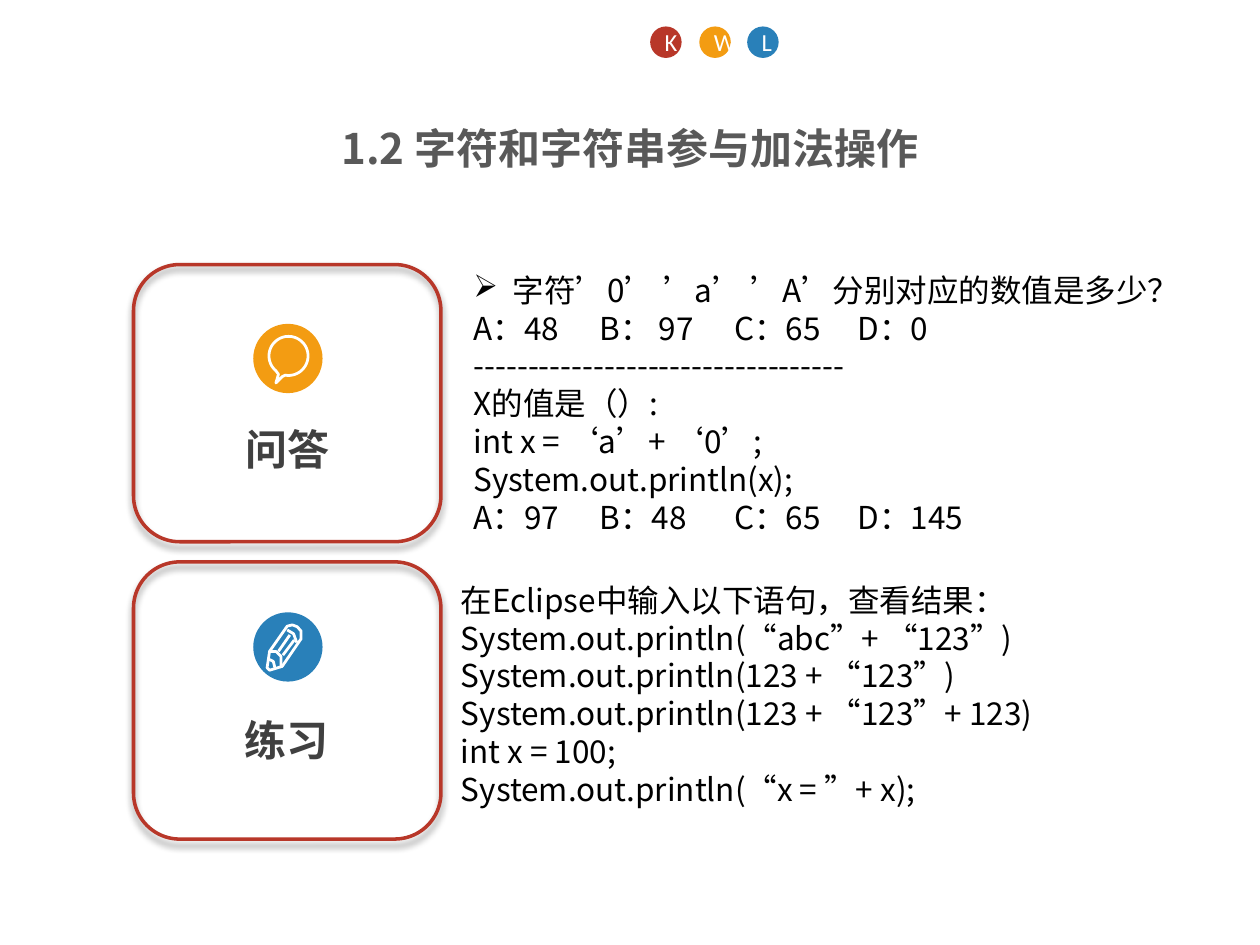
import math
from dataclasses import dataclass

import pptx
import pptx.dml.color
import pptx.enum.shapes
import pptx.enum.text
import pptx.oxml
import pptx.oxml.ns
import pptx.util

RGB = pptx.dml.color.RGBColor
KIND = pptx.enum.shapes.MSO_SHAPE
ALIGN = pptx.enum.text.PP_ALIGN
Pt = pptx.util.Pt

RED = RGB(0xB8, 0x37, 0x29)
GOLD = RGB(0xF3, 0x9C, 0x12)
BLUE = RGB(0x29, 0x80, 0xB9)
WHITE = RGB(0xFF, 0xFF, 0xFF)
BLACK = RGB(0, 0, 0)
DARK = RGB(0x40, 0x40, 0x40)
GREY = RGB(0x59, 0x59, 0x59)

# Grid of 100 columns by 75 rows, each a tenth of an inch
COLS, ROWS = 100, 75
CELL = pptx.util.Inches(0.1)
SANS = "Noto Sans CJK SC"
TABS = (10, 20.7, 30.5)  # columns of the answers after the first

BODY = {"size": Pt(18), "name": SANS}
HEAD = {"size": Pt(24), "name": SANS, "bold": True}
MARK = {"size": Pt(14), "name": "Calibri"}

Dots = list[tuple[float, float]]


@dataclass
class Box:
    col: float
    row: float
    wide: float
    high: float

    def lengths(self) -> list[int]:
        return [grid(n) for n in (self.col, self.row, self.wide, self.high)]


@dataclass
class Stroke:
    dots: Dots  # tenths of a cell from the corner of the disc
    closed: bool = False


@dataclass
class Card:
    row: float
    disc: float
    fill: RGB
    label: str
    left: float
    top: float
    icon: list[Stroke]


def grid(count: float) -> int:
    return round(count * CELL)


def add_xml(node, text: str):
    spaces = pptx.oxml.ns.nsdecls("a")
    node.append(pptx.oxml.parse_xml(text.replace(">", f" {spaces}>", 1)
                                    if "/>" not in text.split(">")[0] + ">"
                                    else text.replace("/>", f" {spaces}/>", 1)))


def write(frame, lines: list[str], look: dict, ink: RGB, align=None, bullet=False):
    for at, line in enumerate(lines):
        para = frame.paragraphs[0] if at == 0 else frame.add_paragraph()
        para.alignment = align
        run = para.add_run()
        run.text = line
        for key, value in look.items():
            setattr(run.font, key, value)
        run.font.color.rgb = ink
        add_xml(run.font._element, f'<a:ea typeface="{look["name"]}"/>')
        run.font._element.set("lang", "zh-CN")
        props = para._p.get_or_add_pPr()
        if bullet and at == 0:
            props.set("marL", str(grid(3.1)))
            props.set("indent", str(grid(-3.1)))
            add_xml(props, '<a:buChar char="➢"/>')
        if "\t" in line:
            stops = "".join(f'<a:tab pos="{grid(t)}" algn="l"/>' for t in TABS)
            add_xml(props, f"<a:tabLst>{stops}</a:tabLst>")


def text(shapes, box: Box, lines: list[str], look: dict, ink: RGB,
         wrap=True, **more):
    frame = shapes.add_textbox(*box.lengths()).text_frame
    frame.word_wrap = wrap
    write(frame, lines, look, ink, **more)
    return frame


def disc(shapes, box: Box, fill: RGB):
    shape = shapes.add_shape(KIND.OVAL, *box.lengths())
    shape.shadow.inherit = False
    shape.fill.solid()
    shape.fill.fore_color.rgb = fill
    shape.line.fill.background()
    return shape


def draw(shapes, box: Box, stroke: Stroke):
    dots = [(grid(box.col + x / 10), grid(box.row + y / 10)) for x, y in stroke.dots]
    build = shapes.build_freeform(*dots[0])
    build.add_line_segments(dots[1:], close=stroke.closed)
    shape = build.convert_to_shape()
    shape.shadow.inherit = False
    shape.fill.background()
    shape.line.color.rgb = WHITE
    shape.line.width = Pt(1.6)


def panel(shapes, card: Card):
    group = shapes.add_group_shape().shapes
    # Outlined card with a soft shadow
    frame = group.add_shape(KIND.ROUNDED_RECTANGLE,
                            *Box(10.6, card.row, 24.4, 22).lengths())
    frame.shadow.inherit = False
    frame.fill.background()
    frame.line.color.rgb = RED
    frame.line.width = Pt(2)
    effects = frame._element.spPr.find(pptx.oxml.ns.qn("a:effectLst"))
    add_xml(effects, f'<a:outerShdw blurRad="{Pt(4)}" dist="{Pt(3)}" dir="5400000" '
                     'rotWithShape="0"><a:srgbClr val="000000">'
                     '<a:alpha val="40000"/></a:srgbClr></a:outerShdw>')
    # Icon and label
    box = Box(20.1, card.disc, 5.5, 5.5)
    disc(group, box, card.fill)
    for stroke in card.icon:
        draw(group, box, stroke)
    label = text(group, Box(card.left, card.top, 8.7, 4.5), [card.label], HEAD, DARK)
    label.paragraphs[0].line_spacing = 0.9


def arc(x: float, y: float, size: float, start: int, end: int) -> Dots:
    turns = [math.radians(deg) for deg in range(start, end + 1, 5)]
    return [(x + size * math.cos(t), y + size * math.sin(t)) for t in turns]


BUBBLE = [Stroke(arc(28, 25.5, 15.5, 130, 460) + [(23, 42), (18, 47), (20, 40)], True)]
PENCIL = [
    Stroke([(11, 44), (13, 31), (27, 11), (31, 10), (35, 11.5), (38, 15),
            (38, 21), (23, 43), (13, 46)], True),
    Stroke([(13, 31), (18, 31), (22, 35), (22, 43)]),
    Stroke([(20, 31), (29, 18)]),
    Stroke([(23.5, 34), (32.5, 22)]),
    Stroke([(27, 14), (32, 17), (34.5, 24)]),
    Stroke([(12, 37), (16, 39), (17.5, 45)]),
]
CARDS = [
    Card(21, 25.7, GOLD, "问答", 18.5, 33.6, BUBBLE),
    Card(44.6, 48.6, BLUE, "练习", 18.4, 56.7, PENCIL),
]
QUIZ = [
    "字符’0’ ’a’ ’A’分别对应的数值是多少？",
    "A：48\tB： 97\tC：65\tD：0",
    "-" * 34,
    "X的值是（）:",
    "int x = ‘a’+ ‘0’;",
    "System.out.println(x);",
    "A：97\tB：48\tC：65\tD：145",
]
TASK = [
    "在Eclipse中输入以下语句，查看结果：",
    "System.out.println(“abc”+ “123”)",
    "System.out.println(123 + “123”)",
    "System.out.println(123 + “123”+ 123)",
    "int x = 100;",
    "System.out.println(“x = ”+ x);",
]


def main():
    deck = pptx.Presentation()
    deck.slide_width, deck.slide_height = grid(COLS), grid(ROWS)
    shapes = deck.slides.add_slide(deck.slide_layouts[6]).shapes

    # Letter marks and title
    for col, mark, fill in ((51.6, "K", RED), (55.5, "W", GOLD), (59.3, "L", BLUE)):
        shape = disc(shapes, Box(col, 2.1, 2.5, 2.5), fill)
        write(shape.text_frame, [mark], MARK, WHITE, ALIGN.CENTER)
    text(shapes, Box(0, 9.2, COLS, 4.7), ["1.2 字符和字符串参与加法操作"],
         HEAD, GREY, align=ALIGN.CENTER)

    # Cards with their questions
    for card in CARDS:
        panel(shapes, card)
    text(shapes, Box(36.6, 21, 63.4, 25.2), QUIZ, BODY, BLACK, bullet=True)
    text(shapes, Box(35.6, 45.6, 50, 22.2), TASK, BODY, BLACK, wrap=False)

    deck.save("out.pptx")


if __name__ == "__main__":
    main()
